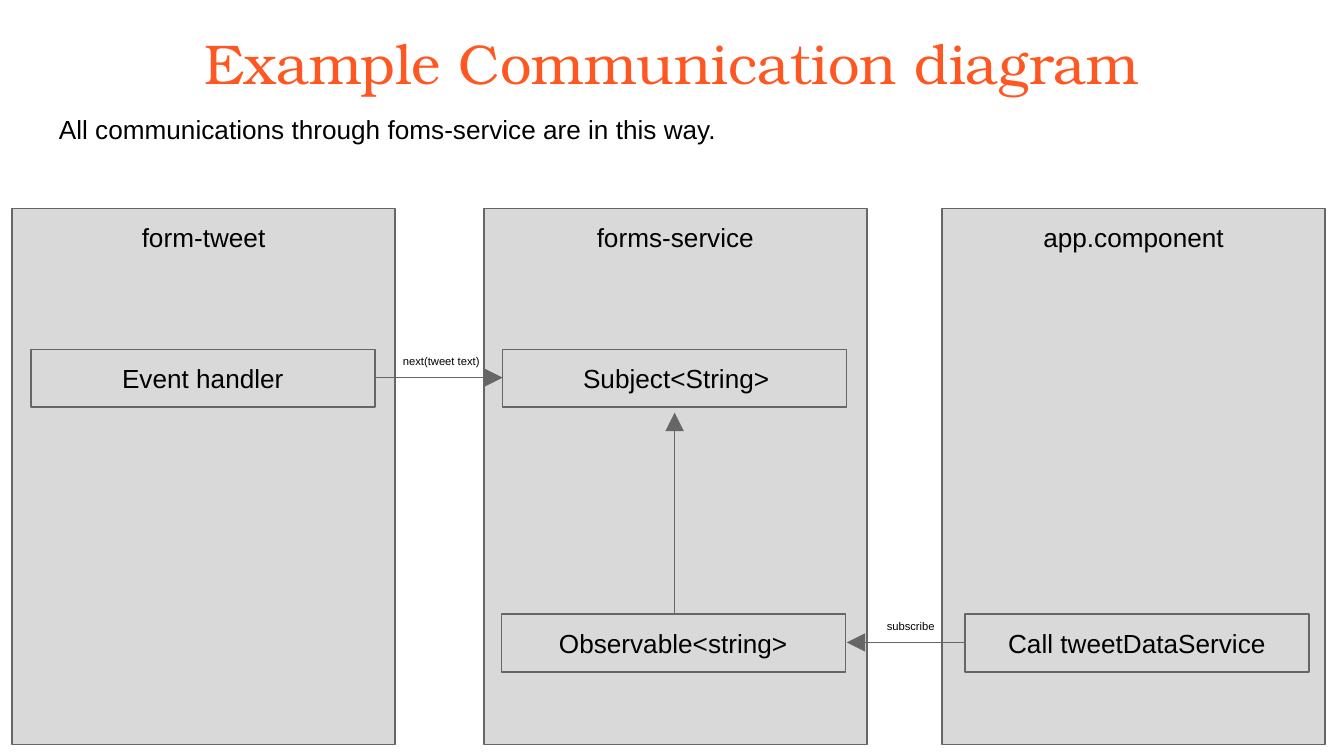
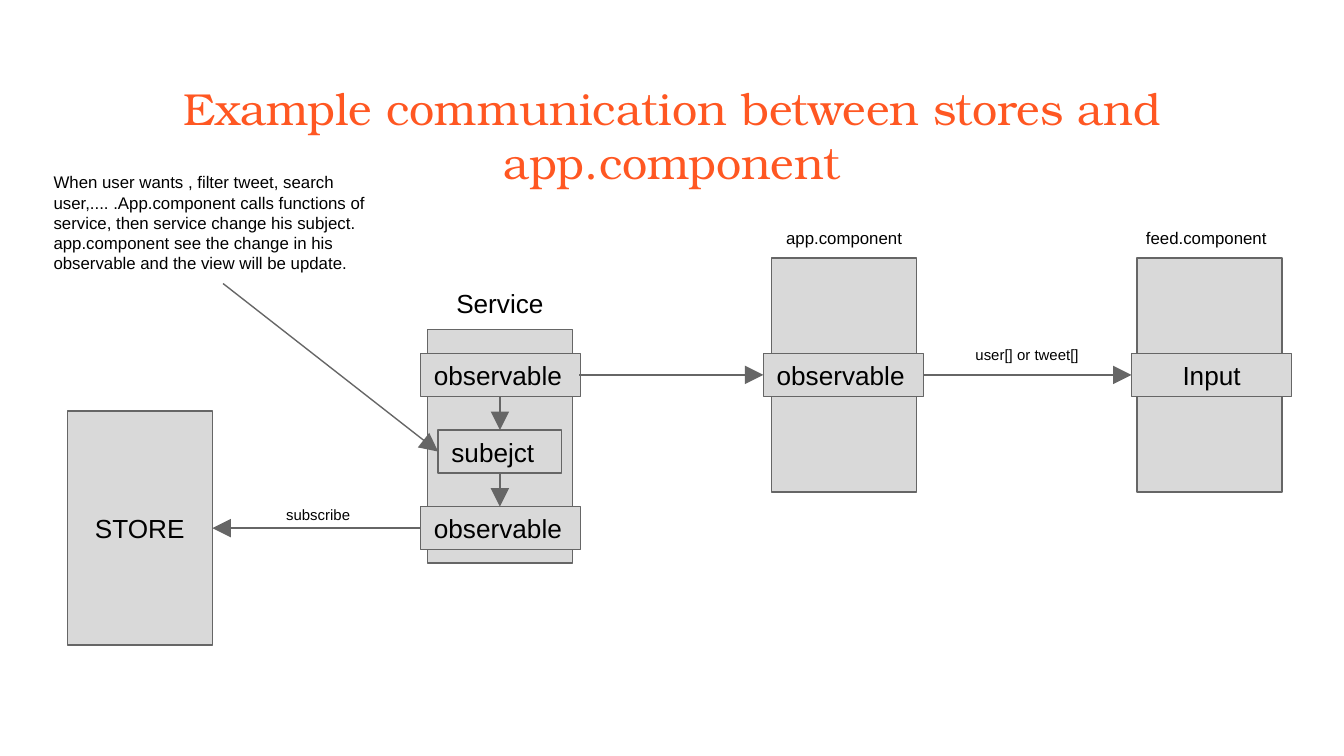
"""Build two slides of component communication diagrams."""
import dataclasses
from typing import Any

import pptx
import pptx.dml.color
import pptx.enum.shapes
import pptx.enum.text
import pptx.oxml.ns
import pptx.util
from lxml import etree

PX = 9144
ORANGE, BLACK, GREY, SILVER = "FF5722", "000000", "666666", "D9D9D9"
TITLE_FONT, BODY_FONT = "TeX Gyre Bonum", "Arial"
LEFT = pptx.enum.text.PP_ALIGN.LEFT
CENTER = pptx.enum.text.PP_ALIGN.CENTER
TOP = pptx.enum.text.MSO_ANCHOR.TOP
MIDDLE = pptx.enum.text.MSO_ANCHOR.MIDDLE
MARGIN = 10


@dataclasses.dataclass
class Box:
    x: int
    y: int
    w: int
    h: int
    text: str = ""
    size: int = 14
    align: Any = CENTER
    indent: int = 0
    drop: int = 0


@dataclasses.dataclass
class Arrow:
    x1: int
    y1: int
    x2: int
    y2: int


@dataclasses.dataclass
class Diagram:
    title: Box
    boxes: list[Box]
    labels: list[Box]
    arrows: list[Arrow]


def px(n: int) -> pptx.util.Emu:
    return pptx.util.Emu(n * PX)


def color(value: str) -> pptx.dml.color.RGBColor:
    return pptx.dml.color.RGBColor.from_string(value)


def apply(obj: Any, values: dict[str, Any]) -> None:
    for name, value in values.items():
        setattr(obj, name, value)


def place(box: Box) -> tuple:
    return px(box.x), px(box.y), px(box.w), px(box.h)


def write(sp: Any, box: Box, anchor: Any, font: str = BODY_FONT, ink: str = BLACK) -> None:
    tf = sp.text_frame
    margins = {f"margin_{side}": px(MARGIN) for side in ("left", "right", "bottom")}
    margins["margin_top"] = px(MARGIN + box.drop)
    apply(tf, {"word_wrap": True, "vertical_anchor": anchor, **margins})
    p = tf.paragraphs[0]
    p.alignment = box.align
    if box.indent:
        p._p.get_or_add_pPr().set("indent", str(px(box.indent)))
    r = p.add_run()
    r.text = box.text
    apply(r.font, {"size": pptx.util.Pt(box.size), "name": font})
    r.font.color.rgb = color(ink)


def stroke(line: Any) -> None:
    line.color.rgb = color(GREY)
    line.width = pptx.util.Pt(0.75)


def add_title(s: Any, box: Box) -> None:
    sp = s.shapes.title
    apply(sp, dict(zip(("left", "top", "width", "height"), place(box))))
    write(sp, box, TOP, TITLE_FONT, ORANGE)


def add_box(s: Any, box: Box) -> None:
    sp = s.shapes.add_shape(pptx.enum.shapes.MSO_SHAPE.RECTANGLE, *place(box))
    sp.shadow.inherit = False
    sp.fill.solid()
    sp.fill.fore_color.rgb = color(SILVER)
    stroke(sp.line)
    if box.text:
        write(sp, box, MIDDLE)


def add_label(s: Any, box: Box) -> None:
    write(s.shapes.add_textbox(*place(box)), box, TOP)


def add_arrow(s: Any, arrow: Arrow) -> None:
    ends = [px(n) for n in dataclasses.astuple(arrow)]
    sp = s.shapes.add_connector(pptx.enum.shapes.MSO_CONNECTOR.STRAIGHT, *ends)
    stroke(sp.line)
    qn = pptx.oxml.ns.qn
    etree.SubElement(sp.line._get_or_add_ln(), qn("a:tailEnd"), type="triangle", w="lg", len="lg")
    etree.SubElement(sp._element.spPr, qn("a:effectLst"))


def forms_diagram() -> Diagram:
    columns = {"form-tweet": 9, "forms-service": 360, "app.component": 701}
    top, width = 155, 285
    row_1, row_2, box_w, box_h = 260, 457, 256, 43
    return Diagram(
        Box(34, 11, 932, 63, "Example Communication diagram", 30),
        [Box(x, top, width, 399) for x in columns.values()] + [
            Box(374, row_1, box_w, box_h, "Subject<String>", align=LEFT, indent=50),
            Box(373, row_2, box_w, box_h, "Observable<string>"),
            Box(23, row_1, box_w, box_h, "Event handler"),
            Box(718, row_2, box_w, box_h, "Call tweetDataService"),
        ],
        [Box(x, top, width, 51, name) for name, x in columns.items()] + [
            Box(285, row_1 - 4, 433, 51, "next(tweet text)", 6, LEFT, indent=5, drop=5),
            Box(650, row_2 - 4, 433, 51, "subscribe", 6, LEFT, drop=5),
            Box(34, 74, 940, 51, "All communications through foms-service are in this way.", align=LEFT),
        ],
        [
            Arrow(280, 281, 374, 281),
            Arrow(502, row_2, 502, 307),
            Arrow(718, 478, 630, 478),
        ],
    )


def stores_diagram() -> Diagram:
    panel_w, panel_h, box_w, box_h = 108, 174, 119, 32
    row, step = 263, 57
    middle, gap = row + box_h // 2, step - box_h
    note = (
        "When user wants , filter tweet, search user,.... .App.component calls functions "
        "of service, then service change his subject. app.component see the change in "
        "his observable and the view will be update."
    )
    return Diagram(
        Box(34, 50, 932, 63, "Example communication between stores and app.component", 24),
        [Box(50, 306, panel_w, panel_h, "STORE")]
        + [Box(x, y, panel_w, panel_h) for x, y in ((318, 245), (574, 192), (846, 192))]
        + [
            Box(x, y, box_w, box_h, "observable", align=LEFT)
            for x, y in ((313, row), (313, row + 2 * step), (568, row))
        ]
        + [
            Box(326, row + step, 92, box_h, "subejct", align=LEFT),
            Box(842, row, box_w, box_h, "Input"),
        ],
        [
            Box(203, 368, 92, 51, "subscribe", 8, LEFT, drop=3),
            Box(318, 204, panel_w, 41, "Service"),
            Box(574, 161, panel_w, 32, "app.component", 9, drop=2),
            Box(842, 161, 111, 32, "feed.component", 9, drop=2),
            Box(716, 249, 126, 51, "user[] or tweet[]", 8, LEFT, drop=3),
            Box(30, 118, 272, 92, note, 9, LEFT),
        ],
        [Arrow(372, y, 372, y + gap) for y in (row + box_h, row + step + box_h)] + [
            Arrow(313, middle + 2 * step, 158, middle + 2 * step),
            Arrow(431, middle, 568, middle),
            Arrow(687, middle, 842, middle),
            Arrow(166, 211, 326, middle + step),
        ],
    )


def main() -> None:
    prs = pptx.Presentation()
    width = px(1000)
    apply(prs, {"slide_width": width, "slide_height": width * 9 // 16})
    for diagram in (forms_diagram(), stores_diagram()):
        s = prs.slides.add_slide(prs.slide_layouts[5])
        add_title(s, diagram.title)
        for draw, items in (
            (add_box, diagram.boxes),
            (add_label, diagram.labels),
            (add_arrow, diagram.arrows),
        ):
            for item in items:
                draw(s, item)
    prs.save("out.pptx")


if __name__ == "__main__":
    main()
